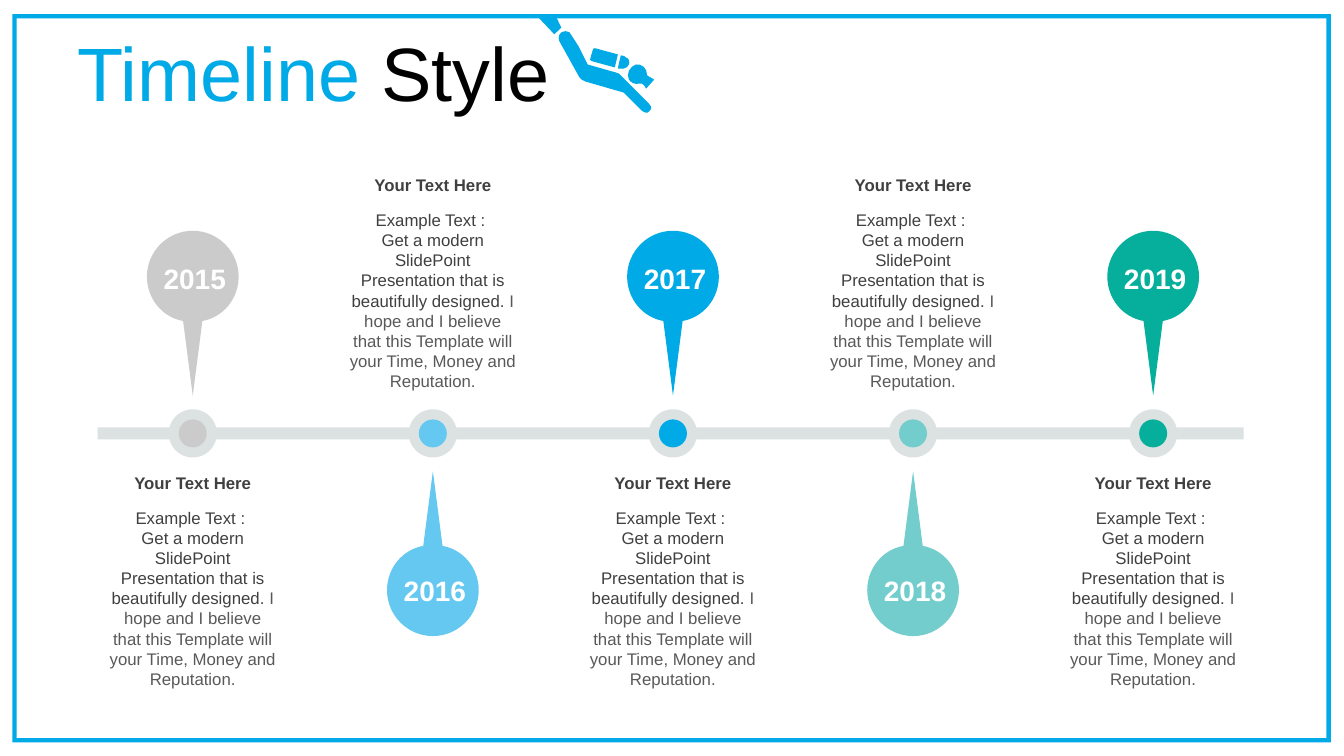
from lxml.etree import SubElement
from pptx import Presentation
from pptx.dml.color import RGBColor
from pptx.enum.shapes import MSO_SHAPE
from pptx.enum.text import MSO_ANCHOR, MSO_AUTO_SIZE, PP_ALIGN
from pptx.oxml.ns import qn
from pptx.util import Pt

FONT = "Arial"
BLUE, RAIL, DARK, GREY, WHITE = "00AAE6", "DCE2E2", "404040", "595959", "FFFFFF"
MILESTONES = [
    ("2015", "CBCBCB"),
    ("2016", "64C8F0"),
    ("2017", BLUE),
    ("2018", "73CDCD"),
    ("2019", "05AF9B"),
]
FIRST_X, STEP_X, AXIS_Y = 137.7, 171.5, 309.6
HEAD_RADIUS, PIN_HEIGHT, PIN_GAP = 32.75, 117.75, 27

PIN = [
    (0, -32.75), (18, -32.75, 32.75, -18, 32.75, 0), (32.75, 15.8, 21.8, 29, 6.9, 31.7),
    (0, 85), (-6.9, 31.7), (-21.8, 29, -32.75, 15.8, -32.75, 0),
    (-32.75, -18, -18, -32.75, 0, -32.75),
]
HEAD = [
    (454.3, 46.1), (458.6, 45.4, 462.2, 49, 462.2, 53.3), (462.2, 54, 463, 54.7, 463.7, 54.7),
    (467.3, 56.9), (461.5, 63.4), (460.8, 61.9, 460.1, 60.5, 458.6, 59.8), (456.5, 59.8),
    (453.6, 60.5, 450.7, 59, 449.3, 56.9), (447.1, 52.6, 450, 47.5, 454.3, 46.1),
]
VALVE = [
    (443.5, 39.6), (445.7, 39.6, 446.4, 40.3, 447.1, 41), (449.3, 41.8, 450, 43.9, 449.3, 46.1),
    (448.6, 47.5, 447.1, 49, 445.7, 49), (441.4, 49), (442.1, 45.4),
]
TANK = [
    (425.5, 34.6), (441.4, 38.9), (439.2, 48.2), (423.4, 43.9),
    (421.2, 43.2, 421.2, 42.5, 421.9, 41), (423.4, 36), (423.4, 34.6, 424.8, 33.8, 425.5, 34.6),
]
BODY = [
    (403.9, 22.3), (406.1, 22.3, 407.5, 23, 408.2, 25.2), (413.3, 33.1), (419.8, 46.1),
    (439.9, 51.8), (441.4, 51.8, 443.5, 53.3, 444.2, 54.7), (463.7, 74.2),
    (465.1, 75.6, 465.1, 76.3, 465.1, 77.8), (464.4, 79.2, 463.7, 79.9, 462.2, 80.6),
    (460.8, 80.6, 459.4, 79.9, 458.6, 79.2), (446.4, 67), (445.7, 66.2), (418.3, 58.3),
    (416.2, 57.6, 415.4, 56.9, 414, 55.4), (399.6, 29.5), (398.2, 26.6, 399.6, 22.3, 403.9, 22.3),
]
FIN = [(383, 10.8), (396.7, 10.8), (401, 19.8), (396, 24.5)]


def rgb(color):
    return RGBColor.from_string(color)


def paint(shape, color):
    shape.shadow.inherit = False
    shape.fill.solid()
    shape.fill.fore_color.rgb = rgb(color)
    shape.line.fill.background()
    return shape


def add_preset(slide, kind, left, top, width, height, color):
    shape = slide.shapes.add_shape(kind, Pt(left), Pt(top), Pt(width), Pt(height))
    return paint(shape, color)


def add_disc(slide, x, y, radius, color):
    add_preset(slide, MSO_SHAPE.OVAL, x - radius, y - radius, 2 * radius, 2 * radius, color)


def add_outline(slide, contours, color, x=0, y=0):
    placed = [[[(Pt(x + step[i]), Pt(y + step[i + 1])) for i in range(0, len(step), 2)]
               for step in contour] for contour in contours]
    builder = slide.shapes.build_freeform(*placed[0][0][0])
    for number, contour in enumerate(placed):
        if number:
            builder.move_to(*contour[0][0])
        builder.add_line_segments([step[-1] for step in contour[1:]], close=True)
    shape = paint(builder.convert_to_shape(), color)
    steps = [step for contour in placed for step in contour[1:]]
    for segment, step in zip(list(shape.element.iter(qn("a:lnTo"))), steps):
        if len(step) == 3:
            curve = segment.makeelement(qn("a:cubicBezTo"))
            for px, py in step:
                SubElement(curve, qn("a:pt"), x=str(px - shape.left), y=str(py - shape.top))
            segment.getparent().replace(segment, curve)
    return shape


def add_text(parent, left, top, width, height, paragraphs, size, bold=False, align=PP_ALIGN.CENTER):
    box = parent.shapes.add_textbox(Pt(left), Pt(top), Pt(width), Pt(height))
    frame = box.text_frame
    frame.word_wrap = True
    frame.auto_size = MSO_AUTO_SIZE.SHAPE_TO_FIT_TEXT
    for index, runs in enumerate(paragraphs):
        paragraph = frame.paragraphs[0] if index == 0 else frame.add_paragraph()
        paragraph.alignment = align
        for words, color in runs:
            run = paragraph.add_run()
            run.text = words
            run.font.name = FONT
            run.font.size = Pt(size)
            run.font.bold = bold
            run.font.color.rgb = rgb(color)
    return frame


def add_title(slide):
    title = add_text(slide, 48.2, 26.6, 881.3, 56.9,
                     [[("Timeline", BLUE), (" Style", "000000")]], 54, align=PP_ALIGN.LEFT)
    title.auto_size = MSO_AUTO_SIZE.NONE
    title.vertical_anchor = MSO_ANCHOR.MIDDLE
    title.paragraphs[0].line_spacing = 0.9


def add_pin(slide, x, above, year, color):
    top = AXIS_Y - PIN_GAP - PIN_HEIGHT if above else AXIS_Y + PIN_GAP
    pin = add_outline(slide, [PIN], color, x, top + HEAD_RADIUS)
    pin.rotation = 0 if above else 180
    label = add_text(slide, x - HEAD_RADIUS, 183.3 if above else 406.1, 2 * HEAD_RADIUS, 31.5,
                     [[(year, WHITE)]], 20, bold=True)
    label.margin_left, label.margin_right = Pt(2.9), Pt(0)


def add_description(slide, x, above):
    left, width = x - 67, 134
    top = 121.4 if above else 334.1
    group = slide.shapes.add_group_shape()
    add_text(group, left, top, width, 21.8, [[("Your Text Here", DARK)]], 12, bold=True)
    add_text(group, left, top + 24.8, width, 138.2, [
        [("Example Text : ", DARK)],
        [("Get a modern SlidePoint Presentation that is beautifully designed. ", DARK),
         ("I hope and I believe that this Template will your Time, Money and Reputation.", GREY)],
    ], 12)


def main():
    deck = Presentation()
    deck.slide_width, deck.slide_height = Pt(960), Pt(540)
    slide = deck.slides.add_slide(deck.slide_layouts[6])
    border = add_preset(slide, MSO_SHAPE.FRAME, 8.8, 10, 941.9, 520.3, BLUE)
    border.adjustments[0] = 0.006
    add_title(slide)
    add_preset(slide, MSO_SHAPE.RECTANGLE, 69.8, 305.2, 818.6, 8.6, RAIL)
    for index, (year, color) in enumerate(MILESTONES):
        x = FIRST_X + index * STEP_X
        pin_above = index % 2 == 0
        add_disc(slide, x, AXIS_Y, 17.2, RAIL)
        add_disc(slide, x, AXIS_Y, 10, color)
        add_pin(slide, x, pin_above, year, color)
        add_description(slide, x, not pin_above)
    add_outline(slide, [HEAD, VALVE, TANK, BODY, FIN], BLUE)
    deck.save("out.pptx")


if __name__ == "__main__":
    main()
